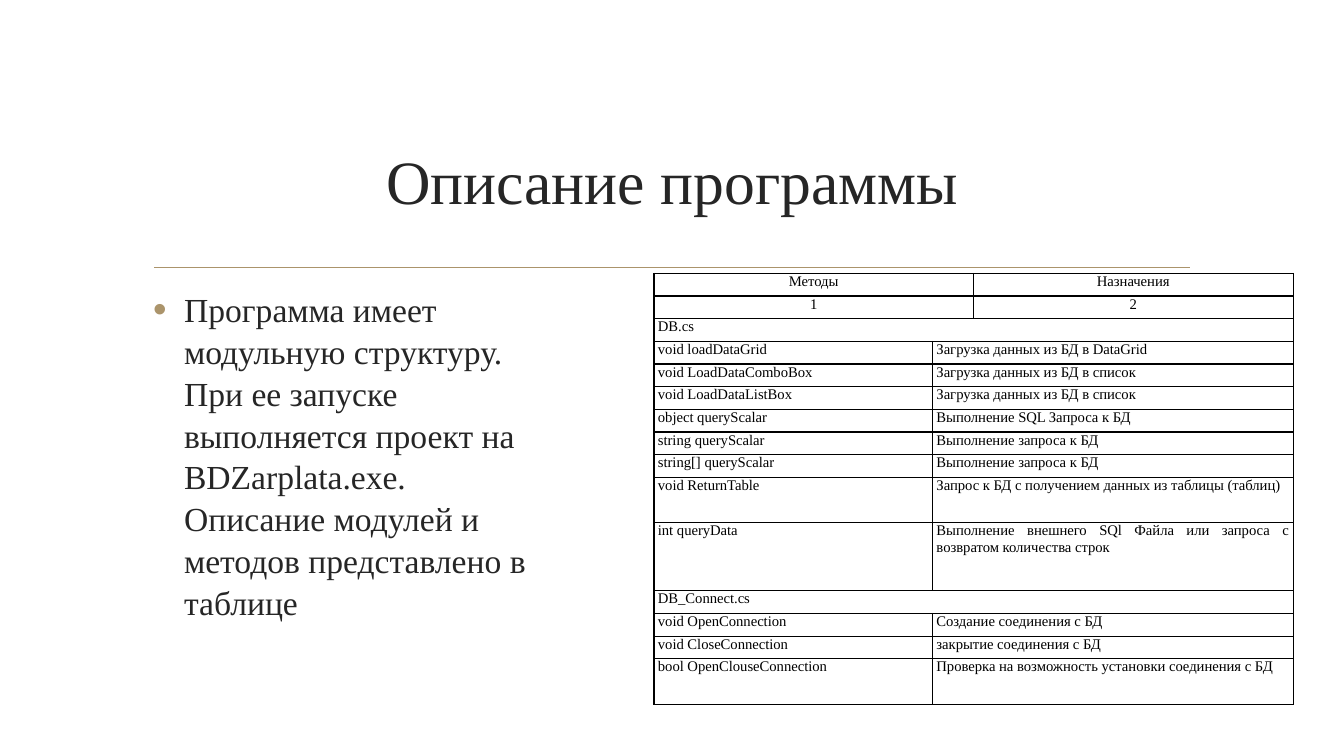
from dataclasses import dataclass

from lxml.etree import SubElement
from pptx import Presentation
from pptx.dml.color import RGBColor
from pptx.enum.shapes import MSO_CONNECTOR as CONNECTOR
from pptx.enum.text import MSO_ANCHOR as ANCHOR, PP_ALIGN as ALIGN
from pptx.oxml.ns import qn
from pptx.util import Cm, Pt

FONT = "Times New Roman"
TEXT = RGBColor(0x26, 0x26, 0x26)
BLACK = RGBColor(0, 0, 0)
GOLD = RGBColor(0xAB, 0x94, 0x6B)

COLUMNS = (7.02, 1.03, 8.06)
ROW_HEIGHT = 0.572
BORDER = Pt(1)


@dataclass
class Row:
    method: str
    purpose: str = ""
    units: int = 1
    heading: bool = False


ROWS = [
    Row("Методы", "Назначения", heading=True),
    Row("1", "2", heading=True),
    Row("DB.cs"),
    Row("void loadDataGrid", "Загрузка данных из БД в DataGrid"),
    Row("void LoadDataComboBox", "Загрузка данных из БД в список"),
    Row("void LoadDataListBox", "Загрузка данных из БД в список"),
    Row("object queryScalar", "Выполнение SQL Запроса к БД"),
    Row("string queryScalar", "Выполнение запроса к БД"),
    Row("string[] queryScalar", "Выполнение запроса к БД"),
    Row("void ReturnTable", "Запрос к БД с получением данных из таблицы (таблиц)", 2),
    Row("int queryData",
        "Выполнение внешнего SQl Файла или запроса с возвратом количества строк", 3),
    Row("DB_Connect.cs"),
    Row("void OpenConnection", "Создание соединения с БД"),
    Row("void CloseConnection", "закрытие соединения с БД"),
    Row("bool OpenClouseConnection",
        "Проверка на возможность установки соединения с БД", 2),
]


def write(tf, text: str, size: float, color: RGBColor, align: ALIGN):
    p = tf.paragraphs[0]
    p.alignment = align
    r = p.add_run()
    r.text = text
    for name, value in {"name": FONT, "size": Pt(size), "bold": False}.items():
        setattr(r.font, name, value)
    r.font.color.rgb = color
    return p


def add_text(slide, box: tuple, text: str, size: float, align: ALIGN, anchor: ANCHOR):
    tf = slide.shapes.add_textbox(*map(Cm, box)).text_frame
    tf.word_wrap = True
    tf.vertical_anchor = anchor
    return write(tf, text, size, TEXT, align)


def add_bullet(p) -> None:
    pPr = p._p.get_or_add_pPr()
    pPr.set("marL", str(Cm(0.78)))
    pPr.set("indent", str(-Cm(0.78)))
    color = SubElement(pPr, qn("a:buClr"))
    SubElement(color, qn("a:srgbClr"), val=str(GOLD))
    SubElement(pPr, qn("a:buSzPct"), val="115000")
    SubElement(pPr, qn("a:buFont"), typeface="Arial")
    SubElement(pPr, qn("a:buChar"), char="•")


def add_rule(slide) -> None:
    line = slide.shapes.add_connector(
        CONNECTOR.STRAIGHT, Cm(3.89), Cm(6.74), Cm(30), Cm(6.74))
    line.line.color.rgb = GOLD
    line.line.width = Pt(1.25)
    SubElement(line._element.spPr, qn("a:effectLst"))


def format_cell(cell) -> None:
    """Give a cell thin black borders, narrow margins and no fill."""
    margins = {"margin_left": Cm(0.1), "margin_right": Cm(0.1),
               "margin_top": 0, "margin_bottom": 0}
    for name, value in margins.items():
        setattr(cell, name, value)
    tcPr = cell._tc.get_or_add_tcPr()
    for side in ("lnL", "lnR", "lnT", "lnB"):
        ln = SubElement(tcPr, qn(f"a:{side}"), w=str(BORDER))
        fill = SubElement(ln, qn("a:solidFill"))
        SubElement(fill, qn("a:srgbClr"), val=str(BLACK))
    cell.fill.background()


def add_methods_table(slide) -> None:
    height = ROW_HEIGHT * sum(row.units for row in ROWS)
    table = slide.shapes.add_table(
        len(ROWS), len(COLUMNS), Cm(16.48), Cm(6.89),
        Cm(sum(COLUMNS)), Cm(height)).table
    table.first_row = table.horz_banding = False
    for column, width in zip(table.columns, COLUMNS):
        column.width = Cm(width)
    for i, row in enumerate(ROWS):
        table.rows[i].height = Cm(ROW_HEIGHT * row.units)
        cells = [table.cell(i, j) for j in range(len(COLUMNS))]
        for cell in cells:
            format_cell(cell)
        align = ALIGN.CENTER if row.heading else ALIGN.JUSTIFY
        write(cells[0].text_frame, row.method, 10.5, BLACK, align)
        if not row.purpose:
            cells[0].merge(cells[2])
            continue
        if row.heading:
            cells[0].merge(cells[1])
            purpose = cells[2]
        else:
            cells[1].merge(cells[2])
            purpose = cells[1]
        write(purpose.text_frame, row.purpose, 10.5, BLACK, align)


def main() -> None:
    prs = Presentation()
    prs.slide_width, prs.slide_height = Cm(33.87), Cm(19.05)
    slide = prs.slides.add_slide(prs.slide_layouts[6])
    add_rule(slide)
    add_text(slide, (3.61, 2.72, 26.67, 3.63), "Описание программы", 44,
             ALIGN.CENTER, ANCHOR.MIDDLE)
    p = add_text(slide, (3.61, 7.11, 10.62, 9.22),
                 "Программа имеет модульную структуру. При ее запуске "
                 "выполняется проект на BDZarplata.exe. Описание модулей "
                 "и методов представлено в таблице", 24, ALIGN.LEFT, ANCHOR.TOP)
    p.line_spacing = 1.04
    p.space_after = Pt(6)
    add_bullet(p)
    add_methods_table(slide)
    prs.save("out.pptx")


if __name__ == "__main__":
    main()
